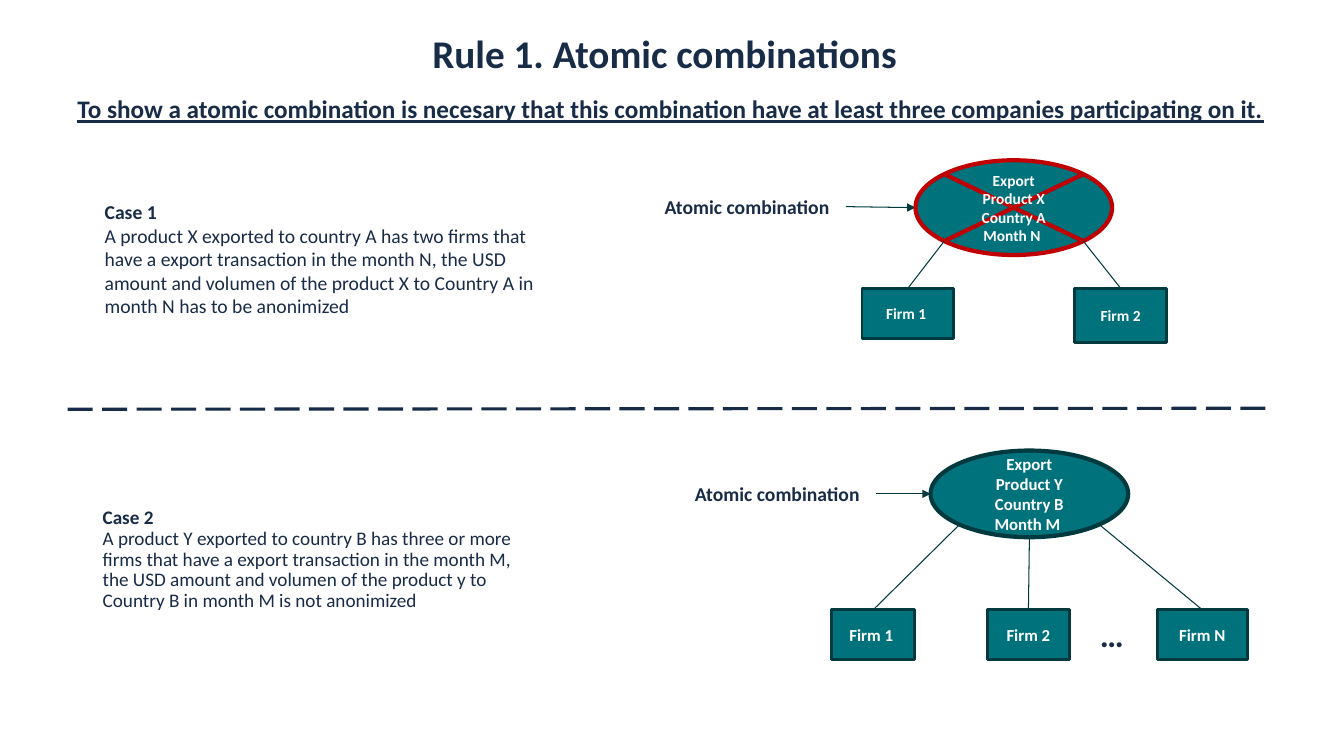
import math
import pptx
import pptx.util
import pptx.dml.color
import pptx.enum.dml
import pptx.enum.shapes
import pptx.enum.text
import pptx.oxml.ns
from lxml import etree

SCALE = 9144
NAVY = pptx.dml.color.RGBColor(0x18, 0x2B, 0x47)
TEAL = pptx.dml.color.RGBColor(0x00, 0x72, 0x7C)
DARK = pptx.dml.color.RGBColor(0x00, 0x39, 0x3E)
RED = pptx.dml.color.RGBColor(0xC0, 0x00, 0x00)
WHITE = pptx.dml.color.RGBColor(0xFF, 0xFF, 0xFF)

Shape = pptx.enum.shapes.MSO_SHAPE
Align = pptx.enum.text.PP_ALIGN
Anchor = pptx.enum.text.MSO_ANCHOR
Fit = pptx.enum.text.MSO_AUTO_SIZE


def px(*sizes):
    return [pptx.util.Emu(round(size * SCALE)) for size in sizes]


def style(frame, text, size, color, align=None):
    frame.text = text
    frame.word_wrap = True
    for para in frame.paragraphs:
        para.alignment = align
        for run in para.runs:
            font = run.font
            font.name = "Calibri"
            font.size = pptx.util.Pt(size)
            font.bold = True
            font.color.rgb = color


def label(slide, box, text, size, align=None, middle=True):
    frame = slide.shapes.add_textbox(*px(*box)).text_frame
    style(frame, text, size, NAVY, align)
    if middle:
        frame.vertical_anchor = Anchor.MIDDLE
    else:
        frame.auto_size = Fit.SHAPE_TO_FIT_TEXT
    return frame


def node(slide, kind, box, text, size, edge=DARK, width=2):
    shape = slide.shapes.add_shape(kind, *px(*box))
    shape.shadow.inherit = False
    shape.fill.solid()
    shape.fill.fore_color.rgb = TEAL
    shape.line.color.rgb = edge
    shape.line.width = pptx.util.Pt(width)
    style(shape.text_frame, text, size, WHITE, Align.CENTER)
    shape.text_frame.vertical_anchor = Anchor.MIDDLE


def link(slide, start, end, color=DARK, width=0.75, arrow=False):
    line = slide.shapes.add_connector(
        pptx.enum.shapes.MSO_CONNECTOR.STRAIGHT, *px(*start, *end))
    line.line.color.rgb = color
    line.line.width = pptx.util.Pt(width)
    qn = pptx.oxml.ns.qn
    if arrow:
        tail = etree.SubElement(line.line._get_or_add_ln(), qn("a:tailEnd"))
        tail.set("type", "triangle")
    etree.SubElement(line._element.spPr, qn("a:effectLst"))
    return line


def story(slide, box, name, text, size, space=None):
    frame = label(slide, box, name + "\n" + text, size)
    for para in frame.paragraphs:
        para.line_spacing = space
    for run in frame.paragraphs[1].runs:
        run.font.bold = False


def graph(slide, box, tag, kind, text, size, edge, firms):
    left, top, wide, high = box
    midx, midy = left + wide / 2, top + high / 2
    label(slide, tag, "Atomic combination", 14, Align.CENTER)
    link(slide, (tag[0] + tag[2], tag[1] + tag[3] / 2), (left, midy), arrow=True)
    node(slide, kind, box, text, size, edge, 3)
    for name, angle, dx, dy, width, height in firms:
        node(slide, Shape.RECTANGLE, (left + dx, top + dy, width, height), name, size)
        turn = math.radians(angle)
        start = midx + wide / 2 * math.cos(turn), midy + high / 2 * math.sin(turn)
        link(slide, start, (left + dx + width / 2, top + dy))


def header(slide, left, top):
    frame = label(slide, (left + 352, top, 486, 57),
                  "Rule 1. Atomic combinations", 28, middle=False)
    frame.word_wrap = False
    frame = label(slide, (left, top + 64, 1248, 40),
                  "To show a atomic combination is necesary that this combination "
                  "have at least three companies participating on it.", 18, middle=False)
    frame.paragraphs[0].runs[0].font.underline = True


def main():
    deck = pptx.Presentation()
    deck.slide_width, deck.slide_height = px(1333, 750)
    slide = deck.slides.add_slide(deck.slide_layouts[6])
    header(slide, 67, 24)
    story(slide, (94, 174, 453, 166), "Case 1",
          "A product X exported to country A has two firms that have a export "
          "transaction in the month N, the USD amount and volumen of the product X "
          "to Country A in month N has to be anonimized", 14)
    graph(slide, (908, 159, 195, 94), (643, 160, 196, 90),
          Shape.FLOWCHART_SUMMING_JUNCTION,
          "Export\nProduct X\nCountry A\nMonth N ", 11, RED,
          [("Firm 1 ", 135, -53, 127, 91, 50), ("Firm 2", 45, 158, 127, 91, 54)])
    rule = link(slide, (67, 406), (1256, 405), NAVY, 2.25)
    rule.line.dash_style = pptx.enum.dml.MSO_LINE.LONG_DASH
    story(slide, (92, 458, 453, 195), "Case 2",
          "A product Y exported to country B has three or more firms that have a "
          "export transaction in the month M, the USD amount and volumen of the "
          "product y to Country B in month M is not anonimized", 13.7, 0.9)
    graph(slide, (923, 447, 196, 86), (673, 449, 196, 82), Shape.OVAL,
          "Export\nProduct Y\nCountry B\nMonth M ", 12, DARK,
          [("Firm 1 ", 135, -98, 158, 82, 49), ("Firm 2", 90, 56, 158, 82, 49),
           ("Firm N", 45, 225, 158, 89, 49)])
    label(slide, (1081, 604, 49, 50), "…", 24, middle=False)
    deck.save("out.pptx")


if __name__ == "__main__":
    main()
